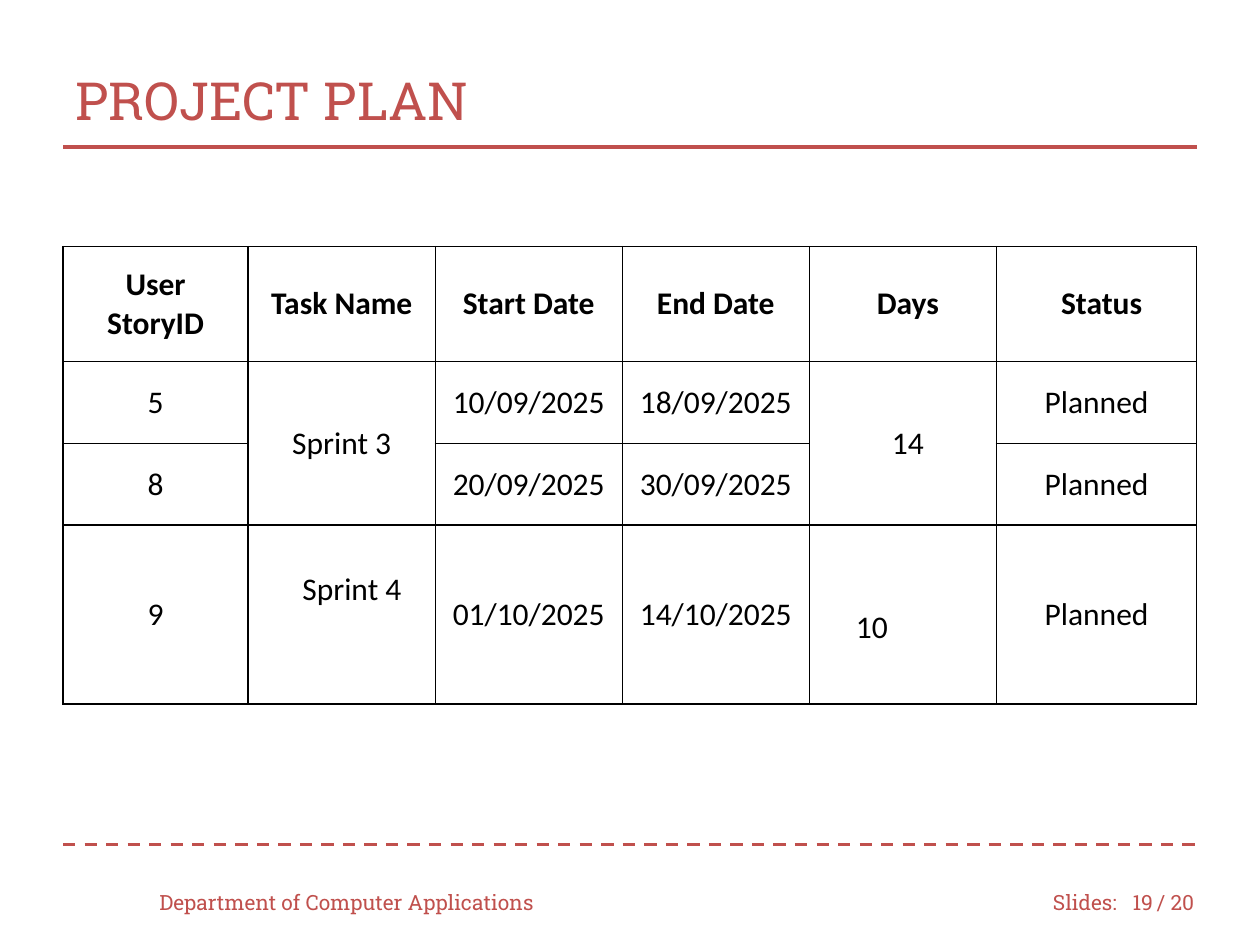
from dataclasses import dataclass

import pptx
import pptx.util
import pptx.dml.color
import pptx.enum.dml
import pptx.enum.shapes
import pptx.enum.text
import pptx.oxml
import pptx.oxml.ns

Align = pptx.enum.text.PP_ALIGN
Anchor = pptx.enum.text.MSO_ANCHOR
RGB = pptx.dml.color.RGBColor


@dataclass(frozen=True)
class Theme:
    red: str = "C0504D"
    ink: str = "000000"
    paper: str = "FFFFFF"
    slab: str = "Roboto Slab"
    sans: str = "Calibri"
    title: float = 30
    body: float = 18
    small: float = 12
    rule: float = 1.75
    border: float = 1


@dataclass(frozen=True)
class Box:
    col: float
    row: float
    wide: float
    high: float


@dataclass(frozen=True)
class Label:
    text: str
    box: Box
    align: Align = Align.LEFT


@dataclass(frozen=True)
class Entry:
    text: str
    left: float = 0.1
    top: float = 0.1
    align: Align = Align.CENTER
    anchor: Anchor = Anchor.MIDDLE
    span: int = 1


THEME = Theme()
COLS, ROWS = 60, 45
WIDE, HIGH = pptx.util.Inches(10), pptx.util.Inches(7.5)
EDGE, FULL = 3, 54


def grid(count: float) -> int:
    return round(WIDE * count / COLS)


def place(box: Box) -> tuple[int, ...]:
    return tuple(grid(n) for n in (box.col, box.row, box.wide, box.high))


def assign(item: object, values: dict) -> None:
    for name, value in values.items():
        setattr(item, name, value)


def write(frame, text: str, face: str, size: float, tint: str,
          align: Align = Align.LEFT, bold: bool = False) -> None:
    frame.text = text
    form = {"name": face, "size": pptx.util.Pt(size), "bold": bold}
    for para in frame.paragraphs:
        para.alignment = align
        for run in para.runs:
            assign(run.font, form)
            run.font.color.rgb = RGB.from_string(tint)


def add_rule(slide, row: float, dash: bool = False) -> None:
    line = slide.shapes.add_connector(
        pptx.enum.shapes.MSO_CONNECTOR.STRAIGHT,
        grid(EDGE), grid(row), grid(EDGE + FULL), grid(row))
    line.line.color.rgb = RGB.from_string(THEME.red)
    line.line.width = pptx.util.Pt(THEME.rule)
    if dash:
        line.line.dash_style = pptx.enum.dml.MSO_LINE.DASH
    line._element.spPr.append(pptx.oxml.parse_xml(
        f'<a:effectLst {pptx.oxml.ns.nsdecls("a")}/>'))


def add_label(slide, label: Label) -> None:
    frame = slide.shapes.add_textbox(*place(label.box)).text_frame
    assign(frame, {"word_wrap": True, "vertical_anchor": Anchor.MIDDLE})
    write(frame, label.text, THEME.slab, THEME.small, THEME.red, label.align)


def add_title(slide, text: str, box: Box) -> None:
    title = slide.shapes.title
    assign(title, dict(zip(("left", "top", "width", "height"), place(box))))
    title.text_frame.vertical_anchor = Anchor.MIDDLE
    write(title.text_frame, text, THEME.slab, THEME.title, THEME.red)


def frame_cell(cell) -> None:
    props = cell._tc.get_or_add_tcPr()
    for side in "LRTB":
        props.append(pptx.oxml.parse_xml(
            f'<a:ln{side} {pptx.oxml.ns.nsdecls("a")} '
            f'w="{pptx.util.Pt(THEME.border)}"><a:solidFill>'
            f'<a:srgbClr val="{THEME.ink}"/></a:solidFill></a:ln{side}>'))
    cell.fill.solid()
    cell.fill.fore_color.rgb = RGB.from_string(THEME.paper)


def fill_cell(cell, entry: Entry, bold: bool) -> None:
    inch = pptx.util.Inches
    assign(cell, {
        "margin_left": inch(entry.left), "margin_right": inch(0.1),
        "margin_top": inch(entry.top), "margin_bottom": inch(0.1),
        "vertical_anchor": entry.anchor})
    write(cell.text_frame, entry.text, THEME.sans, THEME.body, THEME.ink,
          entry.align, bold)


def add_plan(slide, box: Box, wides: list[float], highs: list[float],
             plan: list[list[Entry | None]]) -> None:
    table = slide.shapes.add_table(len(highs), len(wides), *place(box)).table
    assign(table, {"first_row": False, "horz_banding": False})
    for col, wide in zip(table.columns, wides):
        col.width = grid(wide)
    for row, high in zip(table.rows, highs):
        row.height = grid(high)
    for r, line in enumerate(plan):
        for c, entry in enumerate(line):
            cell = table.cell(r, c)
            frame_cell(cell)
            if entry is None:
                continue
            fill_cell(cell, entry, r == 0)
            if entry.span > 1:
                cell.merge(table.cell(r + entry.span - 1, c))


def main() -> None:
    deck = pptx.Presentation()
    assign(deck, {"slide_width": WIDE, "slide_height": HIGH})
    slide = deck.slides.add_slide(deck.slide_layouts[5])

    add_title(slide, "PROJECT PLAN", Box(EDGE, 2, FULL, 5.5))
    add_rule(slide, 7)
    add_rule(slide, 40.2, dash=True)

    foot, tall = 41.75, 2.4
    for label in (
        Label("Department of Computer Applications", Box(7, foot, 20, tall)),
        Label("Slides:", Box(49.55, foot, 4.5, tall)),
        Label("19", Box(53, foot, 2.5, tall), Align.RIGHT),
        Label("/ 20", Box(54.5, foot, 3.5, tall)),
    ):
        add_label(slide, label)

    first, last = 8.82, 9.54
    inner = (FULL - first - last) / 4
    wides = [first, *[inner] * 4, last]
    highs = [5.46, 3.9, 3.9, 8.52]
    nudge = 0.18
    done = Entry("Planned")
    loose = {"align": Align.LEFT, "anchor": Anchor.TOP}
    plan = [
        [Entry("User\nStoryID"), Entry("Task Name"), Entry("Start Date"),
         Entry("End Date"), Entry("Days", nudge), Entry("Status", nudge)],
        [Entry("5"), Entry("Sprint 3", span=2), Entry("10/09/2025"),
         Entry("18/09/2025"), Entry("14", nudge, span=2), done],
        [Entry("8"), None, Entry("20/09/2025"),
         Entry("30/09/2025"), None, done],
        [Entry("9"), Entry("Sprint 4", 0.43, 0.36, **loose),
         Entry("01/10/2025"), Entry("14/10/2025"),
         Entry("10", 0.37, 0.66, **loose), done],
    ]
    add_plan(slide, Box(EDGE, 11.75, FULL, sum(highs)), wides, highs, plan)
    deck.save("out.pptx")


if __name__ == "__main__":
    main()
